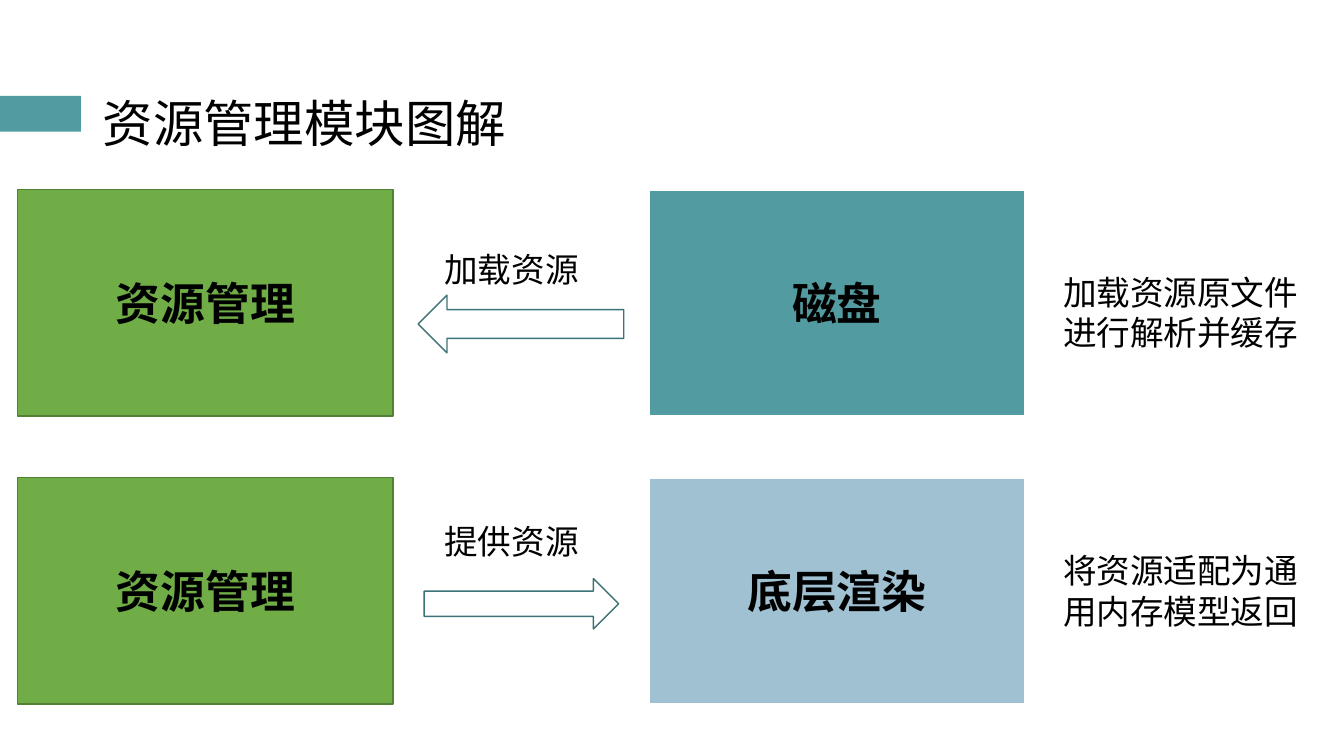
import pptx
import pptx.util
import pptx.dml.color
import pptx.enum.shapes
import pptx.enum.text

Cm = pptx.util.Cm
Pt = pptx.util.Pt
SHAPE = pptx.enum.shapes.MSO_SHAPE
ANCHOR = pptx.enum.text.MSO_ANCHOR
ALIGN = pptx.enum.text.PP_ALIGN

TITLE = "资源管理模块图解"
MANAGER = "资源管理"
FLOWS = [
    {"partner": "磁盘", "fill": "529BA0", "label": "加载资源",
     "note": "加载资源原文件进行解析并缓存", "label_top": 6.15, "note_top": 6.73,
     "arrow": (SHAPE.LEFT_ARROW, 10.54, 7.44, 5.18, 1.45)},
    {"partner": "底层渲染", "fill": "A0C1D1", "label": "提供资源",
     "note": "将资源适配为通用内存模型返回", "label_top": 13, "note_top": 13.74,
     "arrow": (SHAPE.RIGHT_ARROW, 10.69, 14.58, 4.9, 1.27)},
]
ROW_TOP, ROW_STEP = 4.78, 7.26
BOX_W, BOX_H = 9.47, 5.7
MANAGER_X, PARTNER_X, LABEL_X, NOTE_X = 0.44, 16.36, 10.95, 26.54


def color(value):
    return pptx.dml.color.RGBColor.from_string(value)


def write(sp, text, size, bold=False, align=ALIGN.LEFT, anchor=ANCHOR.TOP):
    tf = sp.text_frame
    tf.word_wrap = True
    tf.vertical_anchor = anchor
    p = tf.paragraphs[0]
    p.alignment = align
    r = p.add_run()
    r.text = text
    r.font.name = "Arial"
    r.font.size = Pt(size)
    r.font.bold = bold
    r.font.color.rgb = color("000000")
    return p


def add_shape(s, kind, x, y, w, h, fill, line=None, width=1):
    sp = s.shapes.add_shape(kind, Cm(x), Cm(y), Cm(w), Cm(h))
    sp.shadow.inherit = False
    sp.fill.solid()
    sp.fill.fore_color.rgb = color(fill)
    if line:
        sp.line.color.rgb = color(line)
        sp.line.width = Pt(width)
    else:
        sp.line.fill.background()
    return sp


def add_box(s, x, y, text, fill, line, width):
    sp = add_shape(s, SHAPE.RECTANGLE, x, y, BOX_W, BOX_H, fill, line, width)
    write(sp, text, 32, True, ALIGN.CENTER, ANCHOR.MIDDLE)


def add_text(s, x, y, w, h, text, size, anchor=ANCHOR.TOP):
    sp = s.shapes.add_textbox(Cm(x), Cm(y), Cm(w), Cm(h))
    return write(sp, text, size, anchor=anchor)


def main():
    prs = pptx.Presentation()
    prs.slide_width, prs.slide_height = Cm(33.87), Cm(19.05)
    s = prs.slides.add_slide(prs.slide_layouts[6])
    add_shape(s, SHAPE.RECTANGLE, 0, 2.42, 2.04, 0.9, "529BA0")
    p = add_text(s, 2.34, 1.09, 29.21, 3.68, TITLE, 36, ANCHOR.MIDDLE)
    p.line_spacing = 1.2
    for i, flow in enumerate(FLOWS):
        top = ROW_TOP + i * ROW_STEP
        add_box(s, MANAGER_X, top, MANAGER, "70AD47", "538035", 1)
        add_box(s, PARTNER_X, top, flow["partner"], flow["fill"], "FFFFFF", 1.5)
        add_shape(s, *flow["arrow"], "FFFFFF", "3D7376")
        add_text(s, LABEL_X, flow["label_top"], 4.09, 1.27, flow["label"], 24)
        add_text(s, NOTE_X, flow["note_top"], 6.73, 2.31, flow["note"], 24)
    prs.save("out.pptx")


if __name__ == "__main__":
    main()
